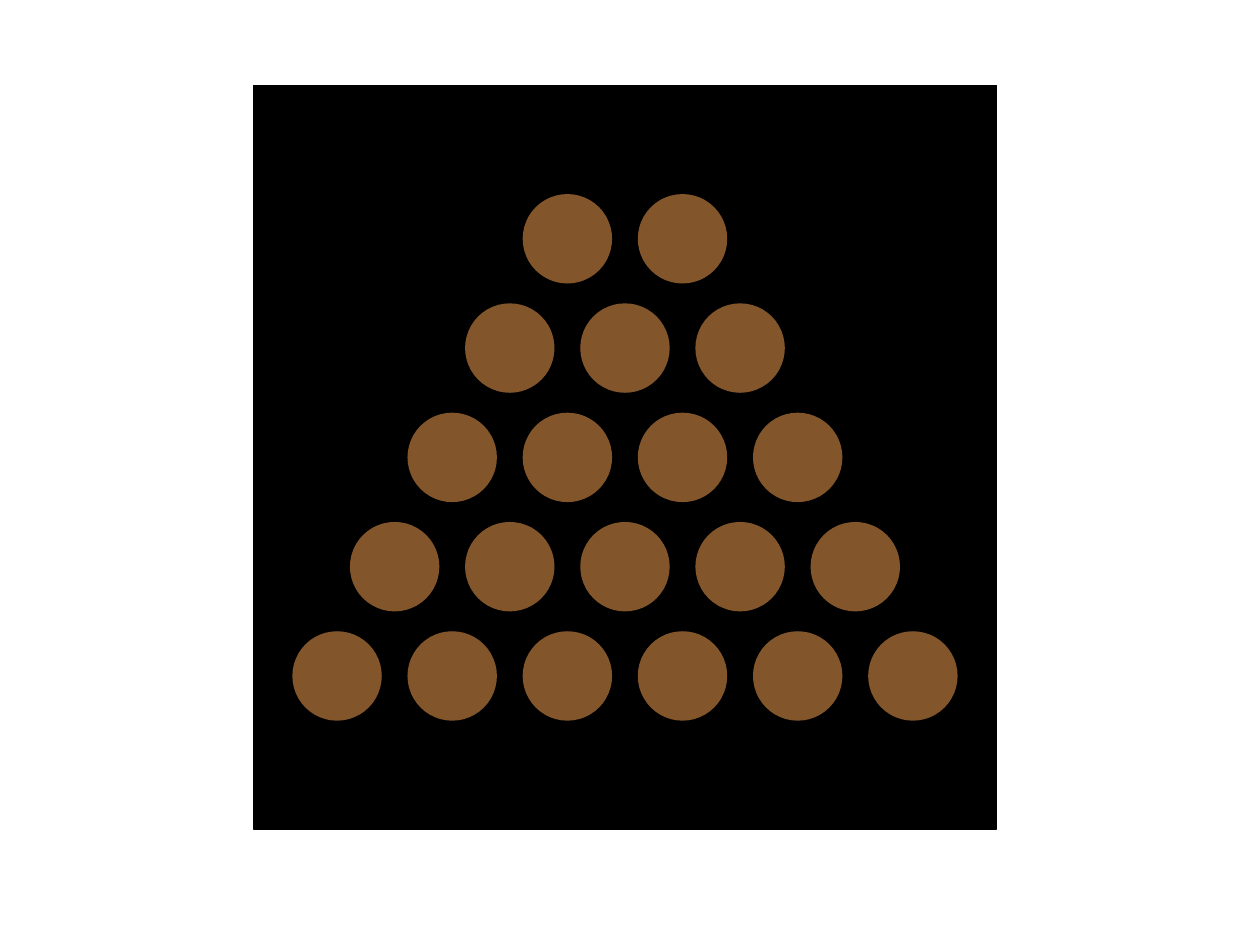
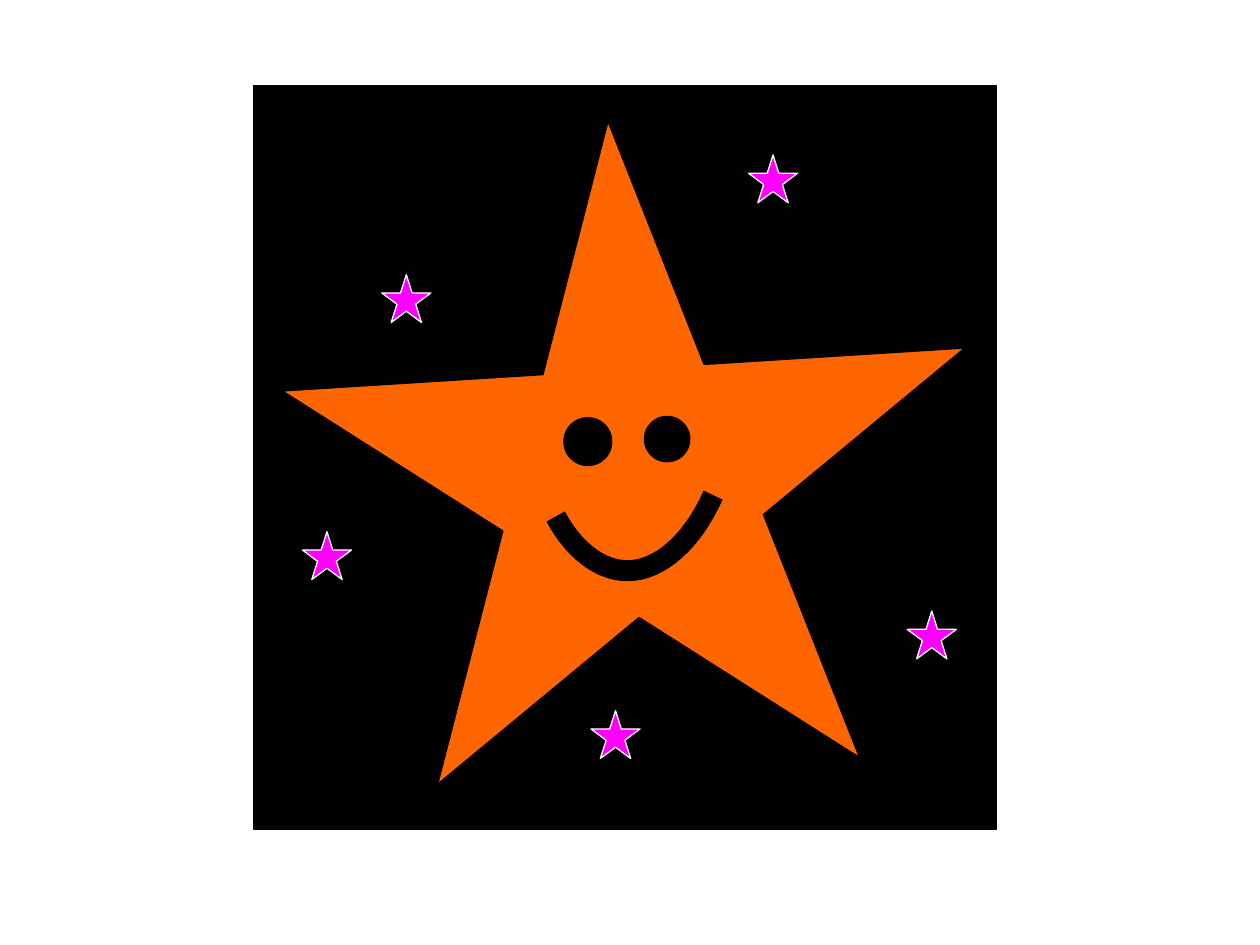
from dataclasses import dataclass

from pptx import Presentation
from pptx.dml.color import RGBColor
from pptx.enum.shapes import MSO_SHAPE
from pptx.util import Inches, Pt

RECT = MSO_SHAPE.RECTANGLE
OVAL = MSO_SHAPE.OVAL
STAR = MSO_SHAPE.STAR_5_POINT

COLORS = {
    "black": "000000",
    "white": "FFFFFF",
    "brown": "82562A",
    "orange": "FF6600",
    "magenta": "FF00FF",
}


@dataclass
class Box:
    left: float
    top: float
    width: float
    height: float


PANEL = Box(2.01, 0.68, 5.9, 5.9)

# Pyramid of discs: rows of two to six, centred on one axis
DISC = 0.71
PYRAMID = Box(2.32, 1.54, 5.28, 4.18)
SHORTEST_ROW, LONGEST_ROW = 2, 6

# Smiling star
BIG_STAR = Box(2.02, 1.16, 5.44, 5.17)
EYES = [Box(5.11, 3.3, 0.37, 0.37), Box(4.47, 3.31, 0.39, 0.39)]
SMILE_CURVES = [
    [(5.66, 3.93), (5.49, 4.31), (5.23, 4.53), (4.98, 4.53)],
    [(4.98, 4.53), (4.76, 4.53), (4.55, 4.36), (4.41, 4.1)],
]
SMALL_STARS = [(5.94, 1.23), (3.03, 2.18), (2.4, 4.22), (4.69, 5.64), (7.2, 4.85)]


def rgb(name: str) -> RGBColor:
    return RGBColor.from_string(COLORS[name])


def set_line(sp, color: str | None, width: float) -> None:
    if color is None:
        sp.line.fill.background()
    else:
        sp.line.color.rgb = rgb(color)
        sp.line.width = Pt(width)


def add_shape(shapes, kind, box: Box, fill: str, line: str | None = None,
              width: float = 0.75, rotation: float = 0):
    sp = shapes.add_shape(kind, Inches(box.left), Inches(box.top),
                          Inches(box.width), Inches(box.height))
    sp.shadow.inherit = False
    sp.fill.solid()
    sp.fill.fore_color.rgb = rgb(fill)
    set_line(sp, line, width)
    sp.rotation = rotation
    return sp


def add_panel_slide(prs):
    """Add a blank slide with the black square."""
    slide = prs.slides.add_slide(prs.slide_layouts[6])
    add_shape(slide.shapes, RECT, PANEL, "black", line="black")
    return slide


def bezier_points(curve: list[tuple[float, float]], steps: int = 16):
    """Return points along a cubic curve, without its start."""
    points = []
    for i in range(1, steps + 1):
        t = i / steps
        weights = ((1 - t) ** 3, 3 * t * (1 - t) ** 2, 3 * t * t * (1 - t), t ** 3)
        x, y = (sum(w * p[axis] for w, p in zip(weights, curve)) for axis in (0, 1))
        points.append((Inches(x), Inches(y)))
    return points


def add_smile(shapes) -> None:
    x, y = SMILE_CURVES[0][0]
    builder = shapes.build_freeform(Inches(x), Inches(y))
    points = [pt for curve in SMILE_CURVES for pt in bezier_points(curve)]
    builder.add_line_segments(points, close=False)
    sp = builder.convert_to_shape()
    sp.shadow.inherit = False
    sp.fill.background()
    set_line(sp, "black", 12)


def build_pyramid(prs) -> None:
    slide = add_panel_slide(prs)
    pitch_x = (PYRAMID.width - DISC) / (LONGEST_ROW - 1)
    pitch_y = (PYRAMID.height - DISC) / (LONGEST_ROW - SHORTEST_ROW)
    for count in range(LONGEST_ROW, SHORTEST_ROW - 1, -1):
        row = slide.shapes.add_group_shape()
        left = PYRAMID.left + (LONGEST_ROW - count) * pitch_x / 2
        top = PYRAMID.top + (count - SHORTEST_ROW) * pitch_y
        for i in range(count):
            add_shape(row.shapes, OVAL, Box(left + i * pitch_x, top, DISC, DISC), "brown")


def build_smiling_star(prs) -> None:
    shapes = add_panel_slide(prs).shapes
    add_shape(shapes, STAR, BIG_STAR, "orange", line="black", width=1, rotation=284.4)
    add_smile(shapes)
    for eye in EYES:
        add_shape(shapes, OVAL, eye, "black")
    for left, top in SMALL_STARS:
        add_shape(shapes, STAR, Box(left, top, 0.39, 0.38), "magenta", line="white")


def main() -> None:
    prs = Presentation()
    prs.slide_width = Inches(10)
    prs.slide_height = Inches(7.5)
    build_pyramid(prs)
    build_smiling_star(prs)
    prs.save("out.pptx")


if __name__ == "__main__":
    main()
